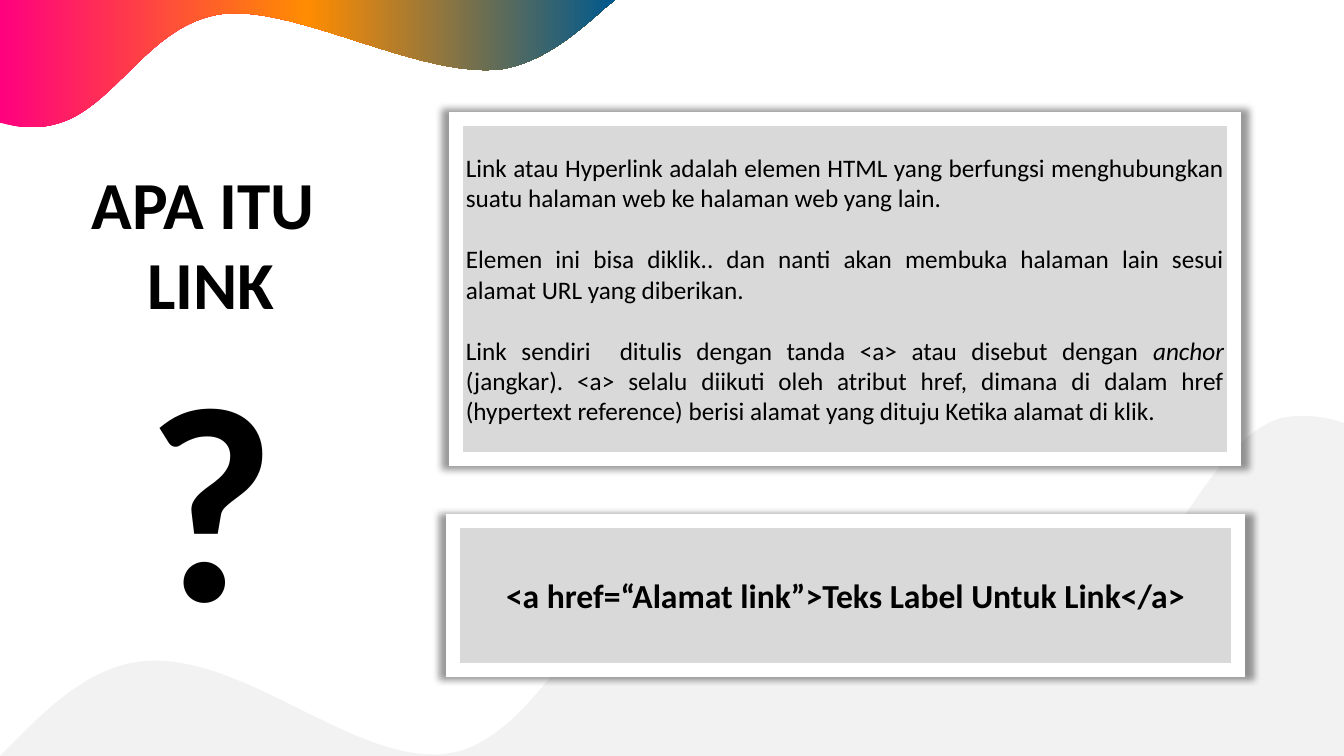
import pptx
import pptx.dml.color
import pptx.enum.shapes
import pptx.enum.text
import pptx.oxml
import pptx.util

PX = 914400 / 100.8  # EMU in one px
A_NS = 'xmlns:a="http://schemas.openxmlformats.org/drawingml/2006/main"'


class Theme:
    font = "Calibri"
    ink = pptx.dml.color.RGBColor.from_string("000000")
    panel = pptx.dml.color.RGBColor.from_string("D9D9D9")
    frame = pptx.dml.color.RGBColor.from_string("FFFFFF")
    hill = pptx.dml.color.RGBColor.from_string("F2F2F2")
    rainbow = [(0, "FF017F"), (50, "FF8C01"), (100, "00598E")]
    frame_width = pptx.util.Pt(10)
    title_size = pptx.util.Pt(48)
    question_size = pptx.util.Pt(199)
    body_size = pptx.util.Pt(18)
    code_size = pptx.util.Pt(24)
    body_gap = pptx.util.Pt(22)


def draw_wave(shapes, start, segments):
    """Draw a closed outline; a segment is a line end, or two controls and a curve end."""
    builder = shapes.build_freeform(*start, scale=PX)
    builder.add_line_segments([point for segment in segments for point in segment], close=True)
    wave = builder.convert_to_shape()
    outline = wave.element.spPr.find(".//{*}pathLst")[0]

    # Join each curve's three points into one cubic
    nodes = iter(outline.findall("{*}lnTo"))
    for segment in segments:
        group = [next(nodes) for _ in segment]
        if len(group) == 3:
            cubic = pptx.oxml.parse_xml(f"<a:cubicBezTo {A_NS}/>")
            group[0].addprevious(cubic)
            for node in group:
                cubic.append(node[0])
                outline.remove(node)

    # The extent follows the points on the outline, not the controls
    height = max(segment[-1][1] for segment in segments) - round(wave.top / PX)
    outline.set("h", str(height))
    wave.height = round(height * PX)
    wave.shadow.inherit = False
    wave.line.fill.background()
    return wave


def draw_panel(shapes, box):
    """Draw a grey panel with a white frame and a soft shadow around it."""
    panel = shapes.add_shape(pptx.enum.shapes.MSO_SHAPE.RECTANGLE, *(round(v * PX) for v in box))
    panel.fill.solid()
    panel.fill.fore_color.rgb = Theme.panel
    panel.line.color.rgb = Theme.frame
    panel.line.width = Theme.frame_width
    panel.line._get_or_add_ln().append(pptx.oxml.parse_xml(f'<a:miter {A_NS} lim="800000"/>'))
    panel.element.spPr.append(pptx.oxml.parse_xml(
        f'<a:effectLst {A_NS}><a:outerShdw blurRad="63500" sx="102000" sy="102000" algn="ctr" '
        'rotWithShape="0"><a:srgbClr val="000000"><a:alpha val="40000"/></a:srgbClr>'
        '</a:outerShdw></a:effectLst>'))
    panel.text_frame.word_wrap = True
    panel.text_frame.vertical_anchor = pptx.enum.text.MSO_ANCHOR.MIDDLE
    return panel


deck = pptx.Presentation()
deck.slide_width, deck.slide_height = round(1344 * PX), round(756 * PX)
slide = deck.slides.add_slide(deck.slide_layouts[5])

# Background waves
hills = draw_wave(slide.shapes, (1307, 416), [
    [(1319, 416), (1332, 419), (1344, 423)],
    [(1344, 756)], [(0, 756)], [(25, 731)],
    [(58, 698), (92, 671), (131, 663)],
    [(238, 642), (359, 774), (456, 752)],
    [(551, 729), (609, 547), (710, 526)],
    [(811, 506), (969, 645), (1063, 627)],
    [(1158, 609), (1201, 445), (1278, 419)],
    [(1287, 416), (1297, 416), (1307, 416)],
])
hills.fill.solid()
hills.fill.fore_color.rgb = Theme.hill

ribbon = draw_wave(slide.shapes, (0, 0), [
    [(615, 0)], [(605, 8)],
    [(575, 35), (542, 62), (503, 69)],
    [(422, 80), (297, 5), (222, 14)],
    [(147, 24), (114, 112), (52, 125)],
    [(44, 127), (37, 127), (28, 127)],
    [(19, 127), (10, 125), (1, 123)],
    [(0, 123)],
])
ribbon.fill.gradient()
ribbon.fill.gradient_angle = 0
stops = ribbon.element.spPr.find(".//{*}gsLst")
stops.clear()
for position, colour in Theme.rainbow:
    stops.append(pptx.oxml.parse_xml(
        f'<a:gs {A_NS} pos="{position * 1000}"><a:srgbClr val="{colour}"/></a:gs>'))

# Explanation
explanation = draw_panel(slide.shapes, (456, 119, 778, 340))
explanation_parts = [
    ["Link atau Hyperlink adalah elemen HTML yang berfungsi menghubungkan suatu halaman web ke "
     "halaman web yang lain."],
    ["Elemen ini bisa diklik.. dan nanti akan membuka halaman lain sesui alamat URL yang diberikan."],
    ["Link sendiri  ditulis dengan tanda <a> atau disebut dengan ", "anchor ",
     "(jangkar). <a> selalu diikuti oleh atribut href, dimana di dalam href (hypertext reference) "
     "berisi alamat yang dituju Ketika alamat di klik."],
]
for index, parts in enumerate(explanation_parts):
    frame = explanation.text_frame
    paragraph = frame.add_paragraph() if index else frame.paragraphs[0]
    for part in parts:
        run = paragraph.add_run()
        run.text = part
        if part == "anchor ":
            run.font.italic = True
    paragraph.alignment = pptx.enum.text.PP_ALIGN.JUSTIFY
    paragraph.space_before = Theme.body_gap if index else pptx.util.Pt(0)
    paragraph.font.name = Theme.font
    paragraph.font.size = Theme.body_size
    paragraph.font.color.rgb = Theme.ink

# Title, in front of the waves
title = slide.shapes.title
title.element.getparent().append(title.element)
title.left, title.top, title.width, title.height = (round(v * PX) for v in (38, 157, 346, 511))
title.text_frame.word_wrap = True
title.text_frame.auto_size = pptx.enum.text.MSO_AUTO_SIZE.SHAPE_TO_FIT_TEXT
title.text_frame.vertical_anchor = pptx.enum.text.MSO_ANCHOR.TOP
title.text_frame.text = "APA ITU \nLINK\n?"
for paragraph in title.text_frame.paragraphs:
    paragraph.alignment = pptx.enum.text.PP_ALIGN.CENTER
    paragraph.font.name = Theme.font
    paragraph.font.size = Theme.question_size if paragraph.text == "?" else Theme.title_size
    paragraph.font.bold = True
    paragraph.font.color.rgb = Theme.ink

# Code example
code = draw_panel(slide.shapes, (453, 521, 785, 149))
code.text_frame.text = "<a href=“Alamat link”>Teks Label Untuk Link</a>"
syntax = code.text_frame.paragraphs[0]
syntax.alignment = pptx.enum.text.PP_ALIGN.CENTER
syntax.font.name = Theme.font
syntax.font.size = Theme.code_size
syntax.font.bold = True
syntax.font.color.rgb = Theme.ink
syntax.runs[0].font._element.insert(0, pptx.oxml.parse_xml(
    f'<a:ln {A_NS} w="9525"><a:solidFill><a:srgbClr val="{Theme.frame}"/></a:solidFill></a:ln>'))

deck.save("out.pptx")
